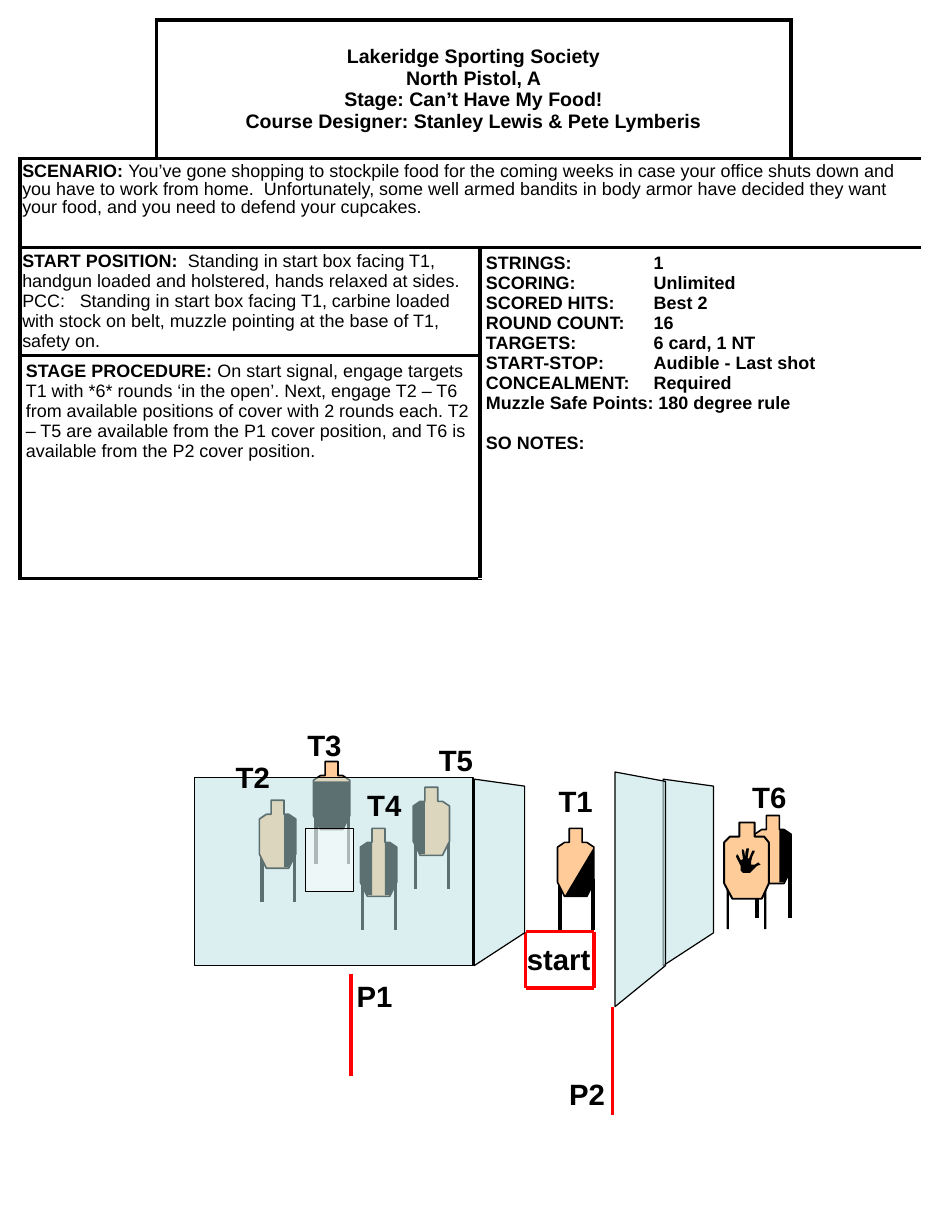
from dataclasses import dataclass

from lxml.etree import SubElement
from pptx import Presentation
from pptx.dml.color import RGBColor
from pptx.enum.shapes import MSO_CONNECTOR, MSO_SHAPE
from pptx.enum.text import MSO_ANCHOR, PP_ALIGN
from pptx.oxml.ns import qn
from pptx.util import Pt

PX = 9144


@dataclass(frozen=True)
class Theme:
    font: str = "Arial"
    ink: str = "000000"
    paper: str = "FFFFFF"
    red: str = "FF0000"
    card: str = "FFCC99"
    no_threat: str = "FDCC99"
    wall: str = "BBE0E3"
    title_size: int = 12
    body_size: int = 11
    label_size: int = 18
    border: float = 2.25


THEME = Theme()

BODY = [(10, 0), (21, 0), (21, 12), (25, 12), (31, 16), (31, 46),
        (25, 58), (6, 58), (0, 46), (0, 16), (6, 12), (10, 12)]
LEFT_ARMOR = [(10, 12), (10, 57), (6, 57), (0, 46), (0, 16), (6, 12)]
RIGHT_ARMOR = [(31 - x, y) for x, y in LEFT_ARMOR]
FULL_ARMOR = [(0, 17), (31, 17), (31, 46), (25, 58), (6, 58), (0, 46)]
DIAGONAL_ARMOR = [(31, 16), (31, 46), (25, 58), (6, 58)]
NO_THREAT_BODY = [(13, 0), (13, 12), (5, 12), (0, 17), (0, 52), (7, 65),
                  (32, 65), (38, 52), (38, 17), (34, 12), (26, 12), (26, 0)]
HAND = [(14, 19), (12, 21), (10, 21), (6, 21), (4, 19), (4, 15), (3, 13),
        (1, 9), (0, 7), (1, 5), (2, 6), (4, 10), (5, 10), (6, 9), (5, 2),
        (5, 1), (6, 1), (7, 2), (8, 8), (8, 4), (9, 0), (11, 0), (11, 1),
        (10, 8), (11, 9), (14, 2), (16, 2), (16, 3), (14, 7), (13, 11),
        (13, 14), (16, 14), (19, 12), (21, 14), (18, 15), (16, 17)]

TITLE = [[("Lakeridge Sporting Society", True)],
         [("North Pistol, A", True)],
         [("Stage: Can’t Have My Food!", True)],
         [("Course Designer: Stanley Lewis & Pete Lymberis", True)]]
SCENARIO = [[("SCENARIO: ", True),
             ("You’ve gone shopping to stockpile food for the coming weeks in case your "
              "office shuts down and you have to work from home.  Unfortunately, some well "
              "armed bandits in body armor have decided they want your food, and you need "
              "to defend your cupcakes.", False)]]
START = [[("START POSITION:  ", True),
          ("Standing in start box facing T1, handgun loaded and holstered, hands relaxed "
           "at sides.", False)],
         [("PCC:\tStanding in start box facing T1, carbine loaded with stock on belt, "
           "muzzle pointing at the base of T1, safety on.", False)]]
RULES = [[(line, True)] for line in (
    "STRINGS:\t1", "SCORING:\tUnlimited", "SCORED HITS:\tBest 2", "ROUND COUNT:\t16",
    "TARGETS:\t6 card, 1 NT", "START-STOP:\tAudible - Last shot",
    "CONCEALMENT:\tRequired", "Muzzle Safe Points: 180 degree rule", "SO NOTES:")]
PROCEDURE = [[("STAGE PROCEDURE: ", True),
              ("On start signal, engage targets T1 with *6* rounds ‘in the open’. Next, "
               "engage T2 – T6 from available positions of cover with 2 rounds each. T2 – T5 "
               "are available from the P1 cover position, and T6 is available from the P2 "
               "cover position.", False)]]


def px(value):
    return round(value * PX)


def color(value):
    return RGBColor.from_string(value)


def style_span(span, size, bold):
    span.font.name = THEME.font
    span.font.size = Pt(size)
    span.font.bold = bold
    span.font.color.rgb = color(THEME.ink)


def paint(shape, fill, width=None, alpha=None):
    shape.shadow.inherit = False
    shape.fill.solid()
    shape.fill.fore_color.rgb = color(fill)
    if alpha:
        tint = shape._element.spPr.find(qn("a:solidFill"))[0]
        SubElement(tint, qn("a:alpha"), val=str(alpha * 1000))
    if width:
        shape.line.color.rgb = color(THEME.ink)
        shape.line.width = Pt(width)
    else:
        shape.line.fill.background()


def add_outline(shapes, points, fill, width=None, alpha=None, left=0, top=0):
    placed = [(left + x, top + y) for x, y in points]
    builder = shapes.build_freeform(*placed[0], scale=PX)
    builder.add_line_segments(placed[1:], close=True)
    paint(builder.convert_to_shape(), fill, width, alpha)


def add_rectangle(shapes, left, top, width, height, fill, line=None, alpha=None):
    shape = shapes.add_shape(MSO_SHAPE.RECTANGLE, px(left), px(top), px(width), px(height))
    paint(shape, fill, line, alpha)


def add_line(shapes, x1, y1, x2, y2, ink, width):
    line = shapes.add_connector(MSO_CONNECTOR.STRAIGHT, px(x1), px(y1), px(x2), px(y2))
    line.line.color.rgb = color(ink)
    line.line.width = Pt(width)
    SubElement(line._element.spPr, qn("a:effectLst"))


def add_label(shapes, text, left, top, width=58):
    box = shapes.add_textbox(px(left), px(top), px(width), px(40))
    box.text_frame.word_wrap = True
    box.text_frame.text = text
    style_span(box.text_frame.paragraphs[0].runs[0], THEME.label_size, True)


def add_target(page, left, top, *armor):
    shapes = page.shapes.add_group_shape().shapes
    for x in (2, 30):
        add_line(shapes, left + x, top + 43, left + x, top + 87, THEME.ink, 2.25)
    add_outline(shapes, BODY, THEME.card, 1, left=left, top=top)
    for part in armor:
        add_outline(shapes, part, THEME.ink, left=left, top=top)


def add_no_threat(page, left, top):
    shapes = page.shapes.add_group_shape().shapes
    for x in (2, 34):
        add_rectangle(shapes, left + x, top + 48, 2, 43, THEME.ink)
    add_outline(shapes, NO_THREAT_BODY, THEME.no_threat, 1.2, left=left, top=top)
    add_outline(shapes, HAND, THEME.ink, left=left + 10, top=top + 22)


def add_start_box(page, left, top, right, bottom):
    shapes = page.shapes.add_group_shape().shapes
    for y in (top, bottom):
        add_line(shapes, left, y, right, y, THEME.red, 2)
    for x in (left, right):
        add_line(shapes, x, top, x, bottom, THEME.red, 2)
    add_label(shapes, "start", left - 9, top + 3, 86)


def add_border(cell, edge):
    line = SubElement(cell._tc.get_or_add_tcPr(), qn("a:ln" + edge),
                      w=str(Pt(THEME.border)))
    fill = SubElement(line, qn("a:solidFill"))
    SubElement(fill, qn("a:srgbClr"), val=THEME.ink)


def frame_region(table, row, column, rows, columns, edges="LRTB"):
    last_row, last_column = row + rows - 1, column + columns - 1
    for r in range(row, last_row + 1):
        for c in range(column, last_column + 1):
            cell = table.cell(r, c)
            outer = {"L": c == column, "R": c == last_column,
                     "T": r == row, "B": r == last_row}
            for edge in edges:
                if outer[edge]:
                    add_border(cell, edge)
            cell.fill.solid()
            cell.fill.fore_color.rgb = color(THEME.paper)
    if rows * columns > 1:
        table.cell(row, column).merge(table.cell(last_row, last_column))
    return table.cell(row, column)


def write_cell(cell, paragraphs, inset_x=5, inset_y=5, size=THEME.body_size, tab=None):
    cell.margin_left = cell.margin_right = px(inset_x)
    cell.margin_top = cell.margin_bottom = px(inset_y)
    frame = cell.text_frame
    for index, spans in enumerate(paragraphs):
        para = frame.add_paragraph() if index else frame.paragraphs[0]
        for text, bold in spans:
            span = para.add_run()
            span.text = text
            style_span(span, size, bold)
        if tab and "\t" in para.text:
            stops = SubElement(para._p.get_or_add_pPr(), qn("a:tabLst"))
            SubElement(stops, qn("a:tab"), pos=str(px(tab)), algn="l")
    return frame.paragraphs


def add_stage_table(page):
    widths, heights = (116, 276, 265, 110), (118, 76, 92, 190)
    graphic = page.shapes.add_table(len(heights), len(widths), px(17), px(17),
                                    px(sum(widths)), px(sum(heights)))
    table = graphic.table
    table.first_row = table.horz_banding = False
    for column, width in zip(table.columns, widths):
        column.width = px(width)
    for row, height in zip(table.rows, heights):
        row.height = px(height)
    frame_region(table, 0, 0, 1, 1, "RB")
    frame_region(table, 0, 3, 1, 1, "LB")
    title = frame_region(table, 0, 1, 1, 2)
    title.vertical_anchor = MSO_ANCHOR.MIDDLE
    for para in write_cell(title, TITLE, size=THEME.title_size):
        para.alignment = PP_ALIGN.CENTER
    write_cell(frame_region(table, 1, 0, 1, 4), SCENARIO, 2, 4)[0].line_spacing = 0.9
    write_cell(frame_region(table, 2, 0, 1, 2), START, 2, 3, tab=49)
    rules = write_cell(frame_region(table, 2, 2, 2, 2), RULES, tab=143)
    rules[-1].space_before = Pt(12.5)
    write_cell(frame_region(table, 3, 0, 1, 2), PROCEDURE)


def main():
    deck = Presentation()
    deck.slide_width, deck.slide_height = px(800), px(1050)
    page = deck.slides.add_slide(deck.slide_layouts[6])
    add_stage_table(page)
    add_target(page, 352, 671, LEFT_ARMOR)
    add_target(page, 221, 682, RIGHT_ARMOR)
    add_target(page, 307, 706, LEFT_ARMOR, RIGHT_ARMOR)
    add_target(page, 267, 649, FULL_ARMOR)
    add_target(page, 643, 695, RIGHT_ARMOR)
    add_no_threat(page, 617, 701)
    add_start_box(page, 448, 794, 506, 842)
    add_line(page.shapes, 522, 858, 522, 950, THEME.red, 2)
    add_line(page.shapes, 299, 830, 299, 917, THEME.red, 2)
    add_target(page, 475, 706, DIAGONAL_ARMOR)
    add_rectangle(page.shapes, 166, 663, 237, 160, THEME.wall, 0.75, 50)
    add_rectangle(page.shapes, 260, 706, 41, 54, THEME.paper, 0.75, 50)
    side_wall = [(0, 159), (0, 0), (43, 6), (43, 131)]
    for left in (404, 565):
        add_outline(page.shapes, side_wall, THEME.wall, 0.75, 50, left, 664)
    near_wall = [(0, 200), (0, 0), (43, 8), (43, 165)]
    add_outline(page.shapes, near_wall, THEME.wall, 0.75, 50, 524, 658)
    for text, left, top in (("P2", 475, 912), ("P1", 294, 829), ("T1", 466, 663),
                            ("T2", 191, 642), ("T3", 252, 615), ("T6", 631, 659),
                            ("T5", 364, 628), ("T4", 303, 666)):
        add_label(page.shapes, text, left, top)
    deck.save("out.pptx")


if __name__ == "__main__":
    main()
